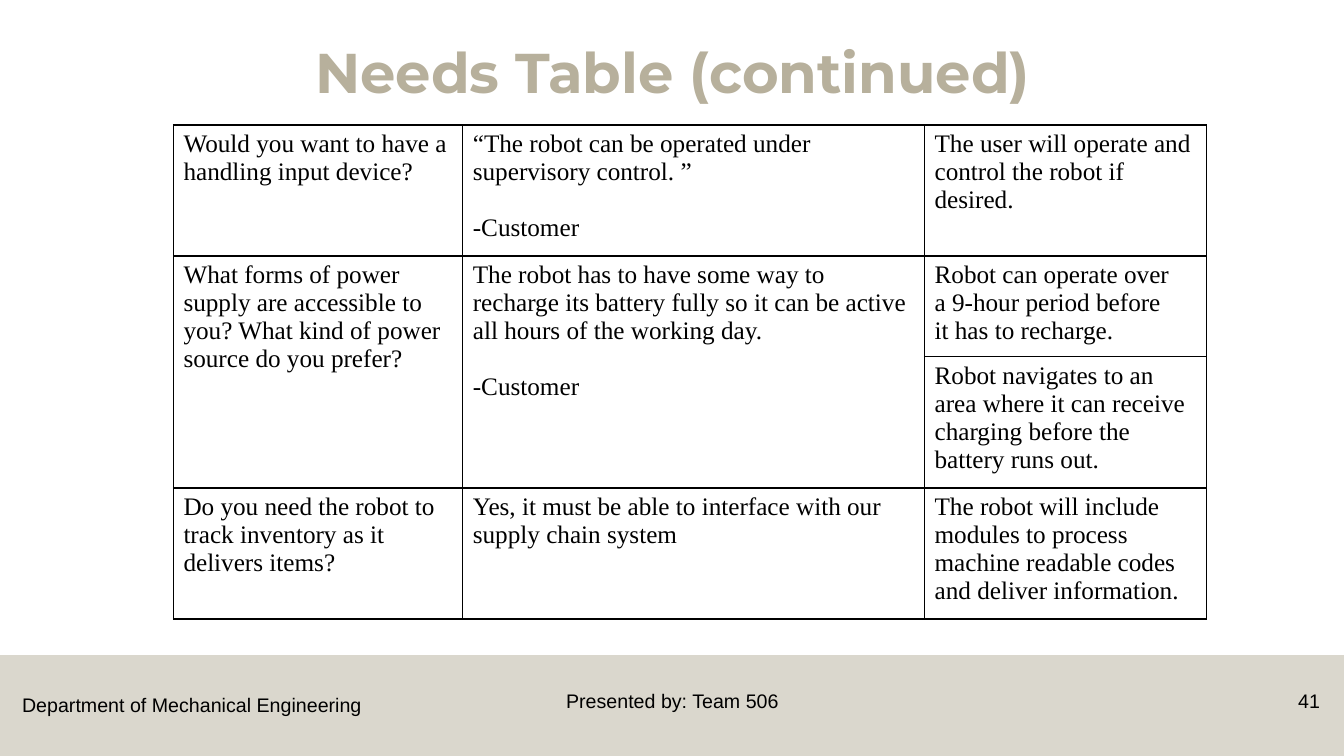
from dataclasses import dataclass

from lxml import etree
from pptx import Presentation
from pptx.dml.color import RGBColor
from pptx.enum.shapes import MSO_SHAPE
from pptx.enum.text import MSO_ANCHOR, PP_ALIGN
from pptx.oxml.ns import qn
from pptx.util import Inches, Pt

LEFT, CENTER, RIGHT = PP_ALIGN.LEFT, PP_ALIGN.CENTER, PP_ALIGN.RIGHT
TOP = MSO_ANCHOR.TOP
RECTANGLE = MSO_SHAPE.RECTANGLE


@dataclass(frozen=True)
class Theme:
    ink: str = "000000"
    sand: str = "B7B09C"
    title_font: str = "Montserrat"
    table_font: str = "Times New Roman"
    footer_font: str = "Arial"
    title_size: int = 40
    table_size: int = 18
    footer_size: int = 14
    border_width: int = 1
    paragraph_gap: int = 20


THEME = Theme()

# Content: each cell is a list of paragraphs; "~" ties words together
TITLE = "Needs Table (continued)"
NEEDS = [
    (["Would you want to have a handling input device?"],
     ["“The robot can be operated under supervisory~control. ”", "-Customer"],
     ["The user will operate and control the robot if desired."]),
    (["What forms of power supply are accessible to you? "
      "What kind of power source do you prefer?"],
     ["The robot~has to~have some way to recharge its battery fully "
      "so it can be active all hours of the working day.", "-Customer"],
     ["Robot can operate over a~9-hour~period before it~has to~recharge."]),
    ([], [],
     ["Robot navigates to an area where it can receive charging "
      "before the battery runs out."]),
    (["Do you need the robot to track inventory as it delivers items?"],
     ["Yes, it must be able to interface with our supply chain system"],
     ["The robot will include modules to process machine readable codes "
      "and deliver information."]),
]
MERGED_ROWS, MERGED_COLUMNS = (1, 2), (0, 1)
# Footer: text, left, top, width, height, alignment
FOOTER = [
    ("Department of Mechanical Engineering", 0.12, 6.83, 3.59, 0.34, LEFT),
    ("Presented by: Team 506", 4.42, 6.79, 4.5, 0.4, CENTER),
    ("41", 12.42, 6.79, 0.77, 0.4, RIGHT),
]

# Grid in inches
SLIDE_W, SLIDE_H = 13.33, 7.5
BAND_H = 1
TABLE_LEFT, TABLE_TOP = 1.72, 1.24
COLUMNS = (2.87, 4.58, 2.8)
ROWS = (1.3, 1, 1.3, 1.3)


def add_run(paragraph, text, font, size, bold=False, color=THEME.ink):
    run = paragraph.add_run()
    run.text = text.replace("~", chr(160))
    run.font.name, run.font.size, run.font.bold = font, Pt(size), bold
    run.font.color.rgb = RGBColor.from_string(color)


def add_label(slide, text, box, align, font, size, **style):
    frame = slide.shapes.add_textbox(*map(Inches, box)).text_frame
    frame.word_wrap = True
    frame.vertical_anchor = TOP
    paragraph = frame.paragraphs[0]
    paragraph.alignment = align
    add_run(paragraph, text, font, size, **style)
    return paragraph


def add_band(slide):
    band = slide.shapes.add_shape(RECTANGLE, 0, Inches(SLIDE_H - BAND_H),
                                  Inches(SLIDE_W), Inches(BAND_H))
    band.shadow.inherit = False
    band.line.fill.background()
    band.fill.solid()
    band.fill.fore_color.rgb = RGBColor.from_string(THEME.sand)
    color = band.fill._xPr.find(".//" + qn("a:srgbClr"))
    etree.SubElement(color, qn("a:alpha"), val="50000")


def add_borders(cell):
    properties = cell._tc.get_or_add_tcPr()
    for position, side in enumerate(("a:lnL", "a:lnR", "a:lnT", "a:lnB")):
        line = etree.Element(qn(side), w=str(Pt(THEME.border_width)))
        fill = etree.SubElement(line, qn("a:solidFill"))
        etree.SubElement(fill, qn("a:srgbClr"), val=THEME.ink)
        properties.insert(position, line)


def fill_cell(cell, paragraphs):
    cell.fill.background()
    cell.vertical_anchor = TOP
    add_borders(cell)
    frame = cell.text_frame
    for index, text in enumerate(paragraphs):
        paragraph = frame.add_paragraph() if index else frame.paragraphs[0]
        if index:
            paragraph.space_before = Pt(THEME.paragraph_gap)
        add_run(paragraph, text, THEME.table_font, THEME.table_size)


def add_needs_table(slide):
    needs = slide.shapes.add_table(
        len(ROWS), len(COLUMNS), Inches(TABLE_LEFT), Inches(TABLE_TOP),
        Inches(sum(COLUMNS)), Inches(sum(ROWS))).table
    needs.first_row = needs.horz_banding = False
    for column, width in zip(needs.columns, COLUMNS):
        column.width = Inches(width)
    for row, height, entries in zip(needs.rows, ROWS, NEEDS):
        row.height = Inches(height)
        for cell, paragraphs in zip(row.cells, entries):
            fill_cell(cell, paragraphs)
    first, last = MERGED_ROWS
    for column in MERGED_COLUMNS:
        needs.cell(first, column).merge(needs.cell(last, column))


def main():
    deck = Presentation()
    deck.slide_width, deck.slide_height = Inches(SLIDE_W), Inches(SLIDE_H)
    slide = deck.slides.add_slide(deck.slide_layouts[6])

    # Footer
    add_band(slide)
    for text, *box, align in FOOTER:
        add_label(slide, text, box, align, THEME.footer_font, THEME.footer_size)

    # Title and table
    title = add_label(slide, TITLE, (0.92, 0.4, 11.5, 1.45), CENTER,
                      THEME.title_font, THEME.title_size,
                      bold=True, color=THEME.sand)
    title.line_spacing = 0.9
    add_needs_table(slide)

    deck.save("out.pptx")


if __name__ == "__main__":
    main()
